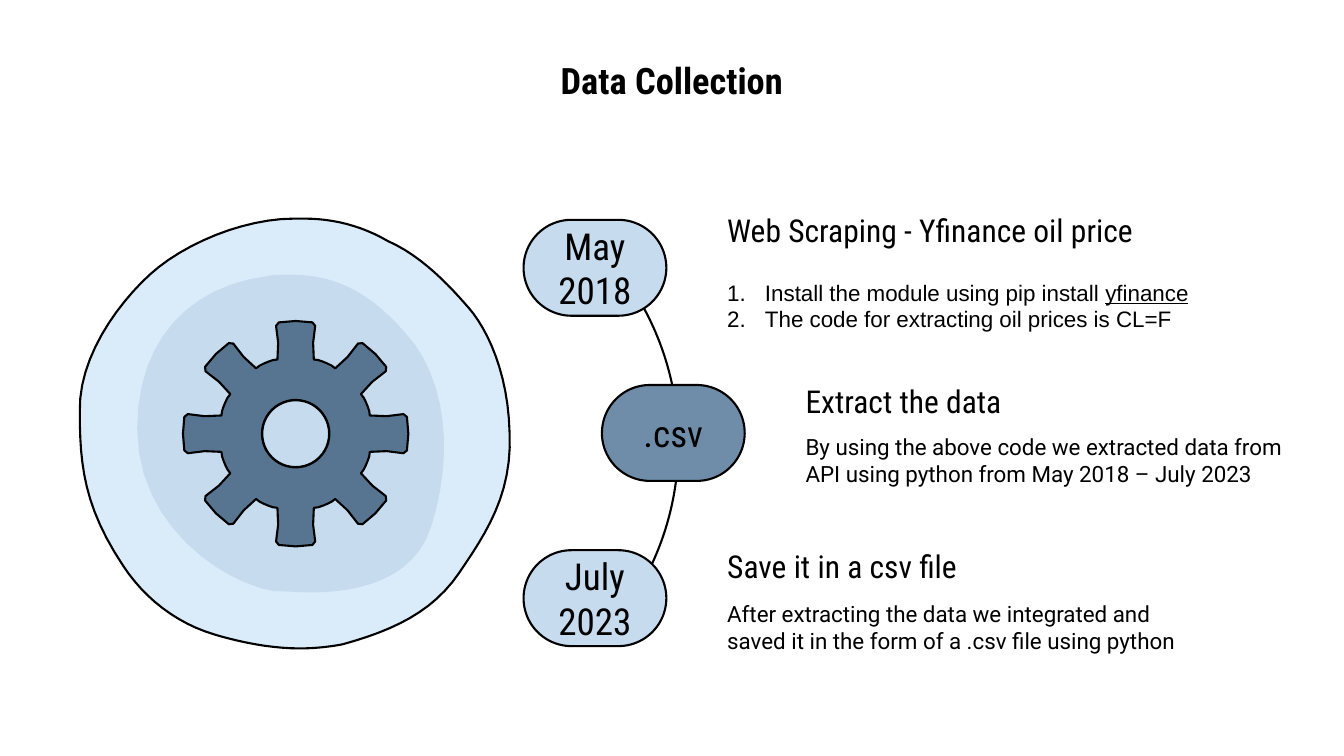
"""Build the Data Collection slide: a gear emblem beside a three-step timeline."""
import math

from lxml import etree
from pptx import Presentation
from pptx import util as u
from pptx.dml import color
from pptx.enum import shapes, text
from pptx.oxml import ns

BLACK, PALE, LIGHT, MEDIUM, DARK = "000000", "DAECFA", "C6DCEE", "6F8DA8", "577590"
CONDENSED, ROBOTO, ARIAL = "Roboto Condensed", "Roboto", "Arial"
INSET = 9.4

DISC = [(161, 0), (159, 0), (156, 0), (154, 0), (118, 0), (75, 18), (51, 40),
        (27, 62), (0, 100), (1, 138), (1, 176), (4, 206), (32, 248),
        (47, 271), (70, 289), (97, 297), (107, 300), (132, 307), (158, 307),
        (168, 307), (179, 306), (189, 304), (225, 294), (253, 281), (272, 253),
        (291, 225), (310, 197), (308, 153), (307, 110), (292, 79), (279, 64),
        (266, 49), (246, 27), (221, 16), (202, 5), (182, 0), (161, 0)]
INNER_DISC = [(152, 40), (146, 40), (140, 40), (135, 41), (80, 48), (42, 86), (42, 150),
              (42, 220), (104, 260), (139, 266), (147, 266), (156, 267), (166, 267),
              (200, 267), (240, 258), (252, 220), (268, 170), (264, 114), (233, 81),
              (212, 57), (188, 40), (152, 40)]
TOOTH = [(53, -13), (65, -12.5), (77, -14), (79.5, -12), (80.5, 0), (79.5, 12),
         (77, 14), (65, 12.5), (53, 13)]

STEPS = [
    {"left": 374, "fill": LIGHT, "label": ["May", "2018"],
     "heading": "Web Scraping - Yfinance oil price", "heading_top": -11,
     "body": [[("Install the module using pip install ", False), ("yfinance", True)],
              [("The code for extracting oil prices is CL=F", False)]],
     "body_box": (31.7, 352, 59), "font": ARIAL, "numbered": True},
    {"left": 430, "fill": MEDIUM, "label": [".csv"],
     "heading": "Extract the data", "heading_top": -6.5,
     "body": [[("By using the above code we extracted data from API using python "
                "from May 2018 – July 2023", False)]],
     "body_box": (34, 364, 39.6), "font": ROBOTO, "numbered": False},
    {"left": 374, "fill": LIGHT, "label": ["July", "2023"],
     "heading": "Save it in a csv file", "heading_top": -6.5,
     "body": [[("After extracting the data we integrated and saved it in the form of "
                "a .csv file using python", False)]],
     "body_box": (34.6, 347, 40), "font": ROBOTO, "numbered": False},
]


def rgb(value):
    """Turn a hex string into a colour."""
    return color.RGBColor.from_string(value)


def apply(target, formats):
    """Set each attribute named in a dict of format values."""
    for name, value in formats.items():
        setattr(target, name, value)


def paint(shape, fill=None, line=None, width=1.5):
    """Give a shape its fill and outline and take away its shadow."""
    shape.shadow.inherit = False
    if fill:
        shape.fill.solid()
        shape.fill.fore_color.rgb = rgb(fill)
    else:
        shape.fill.background()
    if line:
        shape.line.color.rgb = rgb(line)
        shape.line.width = u.Pt(width)
    else:
        shape.line.fill.background()


def write(shape, paragraphs, font, size, anchor=text.MSO_ANCHOR.MIDDLE,
          align=text.PP_ALIGN.LEFT, bold=False, numbered=False):
    """Fill a shape with paragraphs made of (wording, underlined) runs."""
    frame = shape.text_frame
    apply(frame, {"word_wrap": True, "vertical_anchor": anchor,
                  **{f"margin_{side}": u.Pt(INSET)
                     for side in ("left", "top", "right", "bottom")}})
    for index, runs in enumerate(paragraphs):
        paragraph = frame.add_paragraph() if index else frame.paragraphs[0]
        paragraph.alignment = align
        if numbered:
            properties = paragraph._p.get_or_add_pPr()
            properties.set("marL", str(u.Pt(27)))
            properties.set("indent", str(-u.Pt(27)))
            etree.SubElement(properties, ns.qn("a:buFont"), typeface=font)
            etree.SubElement(properties, ns.qn("a:buAutoNum"), type="arabicPeriod")
        for wording, underlined in runs:
            run = paragraph.add_run()
            run.text = wording
            apply(run.font, {"name": font, "size": u.Pt(size),
                             "bold": bold, "underline": underlined})
            run.font.color.rgb = rgb(BLACK)


def add_text(slide, box, paragraphs, font, size, **options):
    """Add a text box in the given box."""
    shape = slide.shapes.add_textbox(*map(u.Pt, box))
    write(shape, paragraphs, font, size, **options)


def add_outline(slide, points, left, top, fill, line=None):
    """Draw a closed outline through points measured from left and top."""
    (start_x, start_y), *rest = [(u.Pt(left + x), u.Pt(top + y)) for x, y in points]
    builder = slide.shapes.build_freeform(start_x, start_y)
    builder.add_line_segments(rest, close=True)
    paint(builder.convert_to_shape(), fill, line)


def trace_curve(knots, steps=12):
    """Sample a chain of cubic curves given as knots and control points."""
    points = [knots[0]]
    for index in range(0, len(knots) - 1, 3):
        curve = knots[index:index + 4]
        for step in range(1, steps + 1):
            t = step / steps
            weights = [math.comb(3, k) * t ** k * (1 - t) ** (3 - k) for k in range(4)]
            points.append(tuple(sum(w * p[axis] for w, p in zip(weights, curve))
                                for axis in (0, 1)))
    return points


def trace_gear(teeth=8, radius=55):
    """Turn one tooth around the centre and join the teeth with arcs."""
    points = []
    pitch = 2 * math.pi / teeth
    for tooth in range(teeth):
        angle = tooth * pitch
        points += [(x * math.cos(angle) - y * math.sin(angle),
                    x * math.sin(angle) + y * math.cos(angle)) for x, y in TOOTH]
        for share in (0.38, 0.46, 0.54, 0.62):
            turn = angle + share * pitch
            points.append((radius * math.cos(turn), radius * math.sin(turn)))
    return points


def add_emblem(slide, left, top):
    """Draw the two discs and the gear."""
    add_outline(slide, trace_curve(DISC), left, top, PALE, BLACK)
    add_outline(slide, trace_curve(INNER_DISC), left, top, LIGHT)
    center_x, center_y, hole = left + 155.2, top + 153.6, 24
    add_outline(slide, trace_gear(), center_x, center_y, DARK, BLACK)
    circle = slide.shapes.add_shape(
        shapes.MSO_SHAPE.OVAL, u.Pt(center_x - hole), u.Pt(center_y - hole),
        u.Pt(2 * hole), u.Pt(2 * hole))
    paint(circle, LIGHT, BLACK, 1.72)


def add_step(slide, top, step):
    """Place a pill with its heading and body to the right."""
    left = step["left"]
    pill = slide.shapes.add_shape(shapes.MSO_SHAPE.ROUNDED_RECTANGLE,
                                  *map(u.Pt, (left, top, 102, 68.5)))
    pill.adjustments[0] = 0.5
    paint(pill, step["fill"], BLACK)
    write(pill, [[(line, False)] for line in step["label"]], CONDENSED, 26.5,
          align=text.PP_ALIGN.CENTER)
    text_left = left + 136
    add_text(slide, (text_left, top + step["heading_top"], 347, 36),
             [[(step["heading"], False)]], CONDENSED, 22.5)
    offset, width, height = step["body_box"]
    add_text(slide, (text_left, top + offset, width, height), step["body"],
             step["font"], 16, numbered=step["numbered"])


def add_timeline(slide, top, pitch):
    """Draw the arc and the steps strung along it."""
    arc = slide.shapes.add_shape(shapes.MSO_SHAPE.ARC,
                                 *map(u.Pt, (77.8, top - 43.2, 406.8, 406.8)))
    arc.adjustments[0], arc.adjustments[1] = 194.27, 20.41
    paint(arc, line=BLACK)
    for index, step in enumerate(STEPS):
        add_step(slide, top + index * pitch, step)


def main():
    """Build and save the slide."""
    presentation = Presentation()
    apply(presentation, {"slide_width": u.Pt(960), "slide_height": u.Pt(540)})
    slide = presentation.slides.add_slide(presentation.slide_layouts[6])
    add_emblem(slide, 56, 156.2)
    add_text(slide, (48, 32, 864, 60), [[("Data Collection", False)]], CONDENSED, 26,
             anchor=text.MSO_ANCHOR.TOP, align=text.PP_ALIGN.CENTER, bold=True)
    add_timeline(slide, 157, 118)
    presentation.save("out.pptx")


if __name__ == "__main__":
    main()
